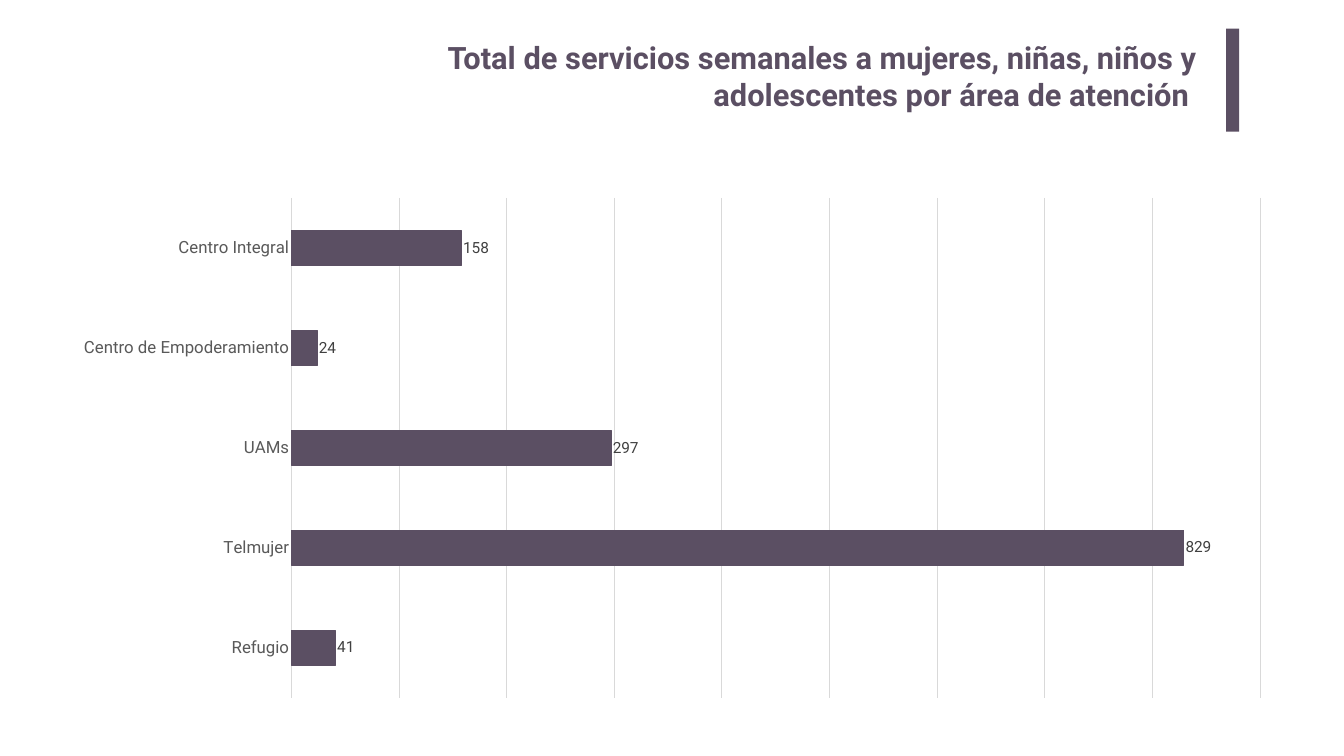
from pptx import Presentation
from pptx import util as u
from pptx.chart.data import CategoryChartData
from pptx.dml.color import RGBColor
from pptx.enum import chart as ch, shapes, text

PLUM = RGBColor(0x5B, 0x4F, 0x63)
GRID = RGBColor(0xD9, 0xD9, 0xD9)
AXIS_TEXT = RGBColor(0x59, 0x59, 0x59)
LABEL_TEXT = RGBColor(0x40, 0x40, 0x40)

SERVICES = {
    "Centro Integral": 158,
    "Centro de Empoderamiento": 24,
    "UAMs": 297,
    "Telmujer": 829,
    "Refugio": 41,
}


class SlideBuilder:
    font_name = "Roboto"

    def __init__(self, s):
        self.s = s

    def style(self, font, size, color, bold=False):
        font.name = self.font_name
        font.size = u.Pt(size)
        font.color.rgb = color
        font.bold = bold

    def line(self, line, color):
        line.color.rgb = color
        line.width = u.Pt(0.75)

    def title(self, wording, *box):
        sp = self.s.shapes.add_textbox(*map(u.Inches, box))
        tf = sp.text_frame
        tf.word_wrap = True
        tf.margin_left = tf.margin_right = u.Inches(0.2)
        tf.margin_top = tf.margin_bottom = u.Inches(0.1)
        tf.text = wording
        p = tf.paragraphs[0]
        p.alignment = text.PP_ALIGN.RIGHT
        self.style(p.runs[0].font, 44, PLUM, bold=True)

    def bar(self, color, *box):
        sp = self.s.shapes.add_shape(shapes.MSO_SHAPE.RECTANGLE, *map(u.Inches, box))
        sp.shadow.inherit = False
        sp.fill.solid()
        sp.fill.fore_color.rgb = color
        sp.line.fill.background()

    def bar_chart(self, values, *box):
        data = CategoryChartData()
        data.categories = list(values)
        data.add_series("Series 1", list(values.values()))
        chart = self.s.shapes.add_chart(
            ch.XL_CHART_TYPE.BAR_CLUSTERED, *map(u.Inches, box), data).chart
        chart.has_legend = False
        chart.has_title = False
        chart.font.name = self.font_name
        chart.font.size = u.Pt(10)

        # Axes: first category on top, gridlines without value labels
        cat = chart.category_axis
        cat.reverse_order = True
        cat.has_major_gridlines = False
        cat.major_tick_mark = ch.XL_TICK_MARK.NONE
        cat.minor_tick_mark = ch.XL_TICK_MARK.NONE
        self.style(cat.tick_labels.font, 24, AXIS_TEXT)
        self.line(cat.format.line, GRID)
        val = chart.value_axis
        val.visible = False
        val.minimum_scale, val.maximum_scale, val.major_unit = 0, 900, 100
        val.has_major_gridlines = True
        self.line(val.major_gridlines.format.line, GRID)

        # Bars and their values
        plot = chart.plots[0]
        plot.gap_width = 182
        plot.vary_by_categories = False
        series = plot.series[0]
        series.invert_if_negative = False
        series.format.fill.solid()
        series.format.fill.fore_color.rgb = PLUM
        self.line(series.format.line, PLUM)
        labels = series.data_labels
        labels.show_value = True
        labels.position = ch.XL_LABEL_POSITION.OUTSIDE_END
        self.style(labels.font, 22, LABEL_TEXT)


def main():
    prs = Presentation()
    prs.slide_width = u.Inches(26.67)
    prs.slide_height = u.Inches(15)
    builder = SlideBuilder(prs.slides.add_slide(prs.slide_layouts[6]))

    # Heading with accent bar
    builder.title("Total de servicios semanales a mujeres, niñas, niños y "
                  "adolescentes por área de atención ", 6.56, 0.67, 17.4, 2.04)
    builder.bar(PLUM, 24.33, 0.57, 0.26, 2.04)

    # Services by area
    builder.bar_chart(SERVICES, 1.18, 3.72, 24.31, 10.33)

    prs.save("out.pptx")


if __name__ == "__main__":
    main()
